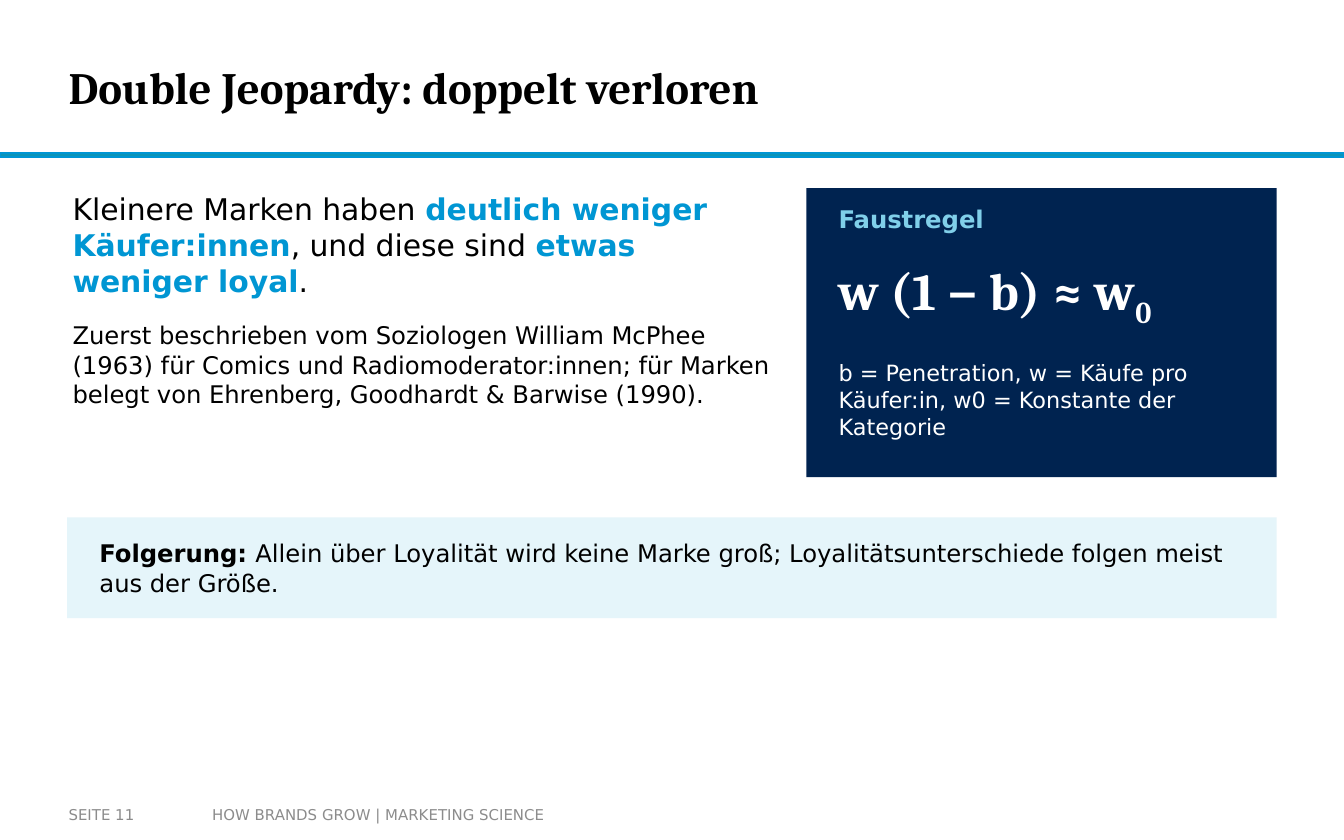
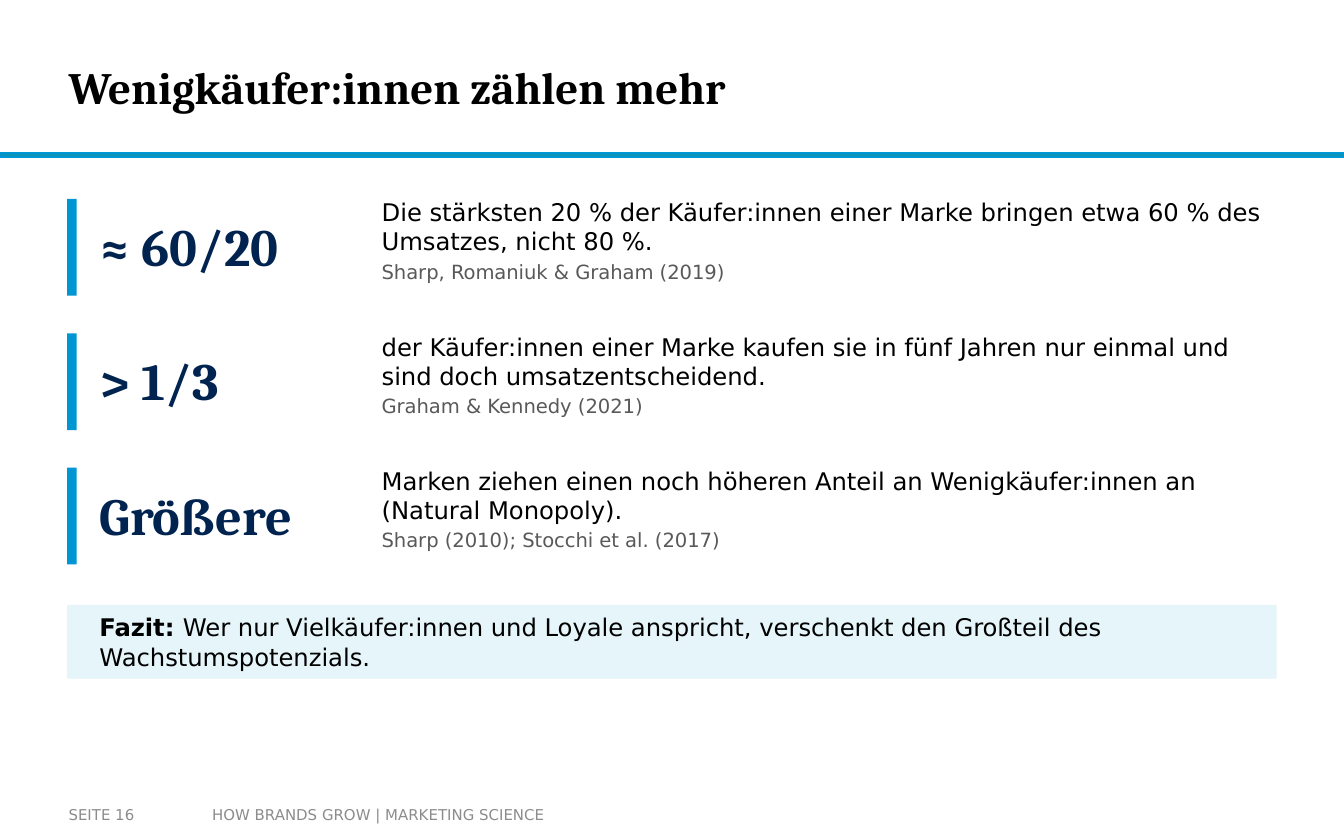
from dataclasses import dataclass

import pptx
import pptx.dml.color
import pptx.enum.shapes
import pptx.enum.text
import pptx.util

EMU_PER_PX = 9144  # 100 px to the inch
WIDTH, HEIGHT = 1000, 625
SERIF, SANS = "Cambria", "DejaVu Sans"
COLORS = {
    "black": "000000",
    "white": "FFFFFF",
    "blue": "0096D3",
    "teal": "0C94B7",
    "navy": "002350",
    "sky": "80CFE9",
    "pale": "E5F5FA",
    "source": "595959",
    "footer": "8C8C8C",
}
TOP = pptx.enum.text.MSO_ANCHOR.TOP
MIDDLE = pptx.enum.text.MSO_ANCHOR.MIDDLE
GROW = pptx.enum.text.MSO_AUTO_SIZE.SHAPE_TO_FIT_TEXT
FIXED = pptx.enum.text.MSO_AUTO_SIZE.NONE


@dataclass(frozen=True)
class Area:
    left: int
    top: int
    width: int
    height: int

    def emu(self) -> list[int]:
        return [px(n) for n in (self.left, self.top, self.width, self.height)]


@dataclass(frozen=True)
class Span:
    text: str
    size: float = 13
    color: str = "black"
    bold: bool = False
    font: str = SANS
    subscript: bool = False


@dataclass(frozen=True)
class Para:
    spans: list[Span]
    after: int = 0


@dataclass(frozen=True)
class Fact:
    figure: str
    statement: str
    source: str


def px(length: int) -> int:
    return pptx.util.Emu(length * EMU_PER_PX)


def rgb(name: str) -> pptx.dml.color.RGBColor:
    return pptx.dml.color.RGBColor.from_string(COLORS[name])


def add_bar(page, area: Area, color: str, outline: str = ""):
    bar = page.shapes.add_shape(pptx.enum.shapes.MSO_SHAPE.RECTANGLE, *area.emu())
    bar.shadow.inherit = False
    bar.fill.solid()
    bar.fill.fore_color.rgb = rgb(color)
    if outline:
        bar.line.color.rgb = rgb(outline)
        bar.line.width = pptx.util.Pt(1)
    else:
        bar.line.fill.background()
    return bar


def add_text(page, area: Area, paras: list[Para], anchor=TOP,
             inset: tuple[int, int] = (4, 2), sizing=GROW):
    box = page.shapes.add_textbox(*area.emu())
    frame = box.text_frame
    frame.word_wrap = True
    frame.auto_size = sizing
    frame.vertical_anchor = anchor
    frame.margin_left = frame.margin_right = px(inset[0])
    frame.margin_top = frame.margin_bottom = px(inset[1])
    for index, para in enumerate(paras):
        paragraph = frame.add_paragraph() if index else frame.paragraphs[0]
        paragraph.space_after = pptx.util.Pt(para.after)
        for span in para.spans:
            run = paragraph.add_run()
            run.text = span.text
            run.font.name = span.font
            run.font.size = pptx.util.Pt(span.size)
            run.font.bold = span.bold
            run.font.color.rgb = rgb(span.color)
            if span.subscript:
                run._r.get_or_add_rPr().set("baseline", "-25000")
    return box


def add_page(deck, title: str, number: int):
    """Blank page with title, rule and footer."""
    page = deck.slides.add_slide(deck.slide_layouts[6])
    add_bar(page, Area(0, 114, WIDTH, 3), "teal", outline="blue")
    add_text(page, Area(51, 15, 748, 99),
             [Para([Span(title, 24, bold=True, font=SERIF)])],
             MIDDLE, (0, 0), FIXED)
    footers = [
        (Area(148, 592, 352, 28), 10, "HOW BRANDS GROW | MARKETING SCIENCE"),
        (Area(51, 592, 98, 28), 0, f"SEITE {number}"),
    ]
    for area, side, text in footers:
        add_text(page, area, [Para([Span(text, 8, "footer")])],
                 MIDDLE, (side, 5), FIXED)
    return page


def add_takeaway(page, top: int, height: int, label: str, text: str) -> None:
    add_bar(page, Area(50, top, 900, height), "pale")
    add_text(page, Area(70, top, 860, height),
             [Para([Span(label, bold=True), Span(text)])], MIDDLE)


def add_fact(page, top: int, fact: Fact) -> None:
    add_bar(page, Area(50, top + 8, 7, 72), "blue")
    add_text(page, Area(70, top, 200, 85),
             [Para([Span(fact.figure, 28, "navy", True, SERIF)])], MIDDLE)
    add_text(page, Area(280, top + 5, 670, 80), [
        Para([Span(fact.statement)], 2),
        Para([Span(fact.source, 10.5, "source")], 2),
    ])


def build_double_jeopardy(deck) -> None:
    page = add_page(deck, "Double Jeopardy: doppelt verloren", 11)

    # Main statement
    add_text(page, Area(50, 140, 530, 200), [
        Para([
            Span("Kleinere Marken haben ", 16),
            Span("deutlich weniger Käufer:innen", 16, "blue", True),
            Span(", und diese sind ", 16),
            Span("etwas weniger loyal", 16, "blue", True),
            Span(".", 16),
        ], 12),
        Para([Span("Zuerst beschrieben vom Soziologen William McPhee (1963) für "
                   "Comics und Radiomoderator:innen; für Marken belegt von "
                   "Ehrenberg, Goodhardt & Barwise (1990).")], 12),
    ])

    # Rule of thumb panel
    add_bar(page, Area(600, 140, 350, 215), "navy")
    panel_rows = [
        (150, 40, [Span("Faustregel", 13, "sky", True)]),
        (190, 70, [Span("w (1 − b) ≈ w", 28, "white", True, SERIF),
                   Span("0", 28, "white", True, SERIF, subscript=True)]),
        (265, 85, [Span("b = Penetration, w = Käufe pro Käufer:in, "
                        "w0 = Konstante der Kategorie", 12, "white")]),
    ]
    for top, height, spans in panel_rows:
        add_text(page, Area(620, top, 310, height), [Para(spans, 6)])

    add_takeaway(page, 385, 75, "Folgerung: ",
                 "Allein über Loyalität wird keine Marke groß; "
                 "Loyalitätsunterschiede folgen meist aus der Größe.")


def build_light_buyers(deck) -> None:
    page = add_page(deck, "Wenigkäufer:innen zählen mehr", 16)

    # Key figures with their evidence
    facts = [
        Fact("≈ 60/20",
             "Die stärksten 20 % der Käufer:innen einer Marke bringen etwa "
             "60 % des Umsatzes, nicht 80 %.",
             "Sharp, Romaniuk & Graham (2019)"),
        Fact("> 1/3",
             "der Käufer:innen einer Marke kaufen sie in fünf Jahren nur einmal "
             "und sind doch umsatzentscheidend.",
             "Graham & Kennedy (2021)"),
        Fact("Größere",
             "Marken ziehen einen noch höheren Anteil an Wenigkäufer:innen an "
             "(Natural Monopoly).",
             "Sharp (2010); Stocchi et al. (2017)"),
    ]
    for index, fact in enumerate(facts):
        add_fact(page, 140 + 100 * index, fact)

    add_takeaway(page, 450, 55, "Fazit: ",
                 "Wer nur Vielkäufer:innen und Loyale anspricht, verschenkt den "
                 "Großteil des Wachstumspotenzials.")


def main() -> None:
    deck = pptx.Presentation()
    deck.slide_width, deck.slide_height = px(WIDTH), px(HEIGHT)
    build_double_jeopardy(deck)
    build_light_buyers(deck)
    deck.save("out.pptx")


if __name__ == "__main__":
    main()
